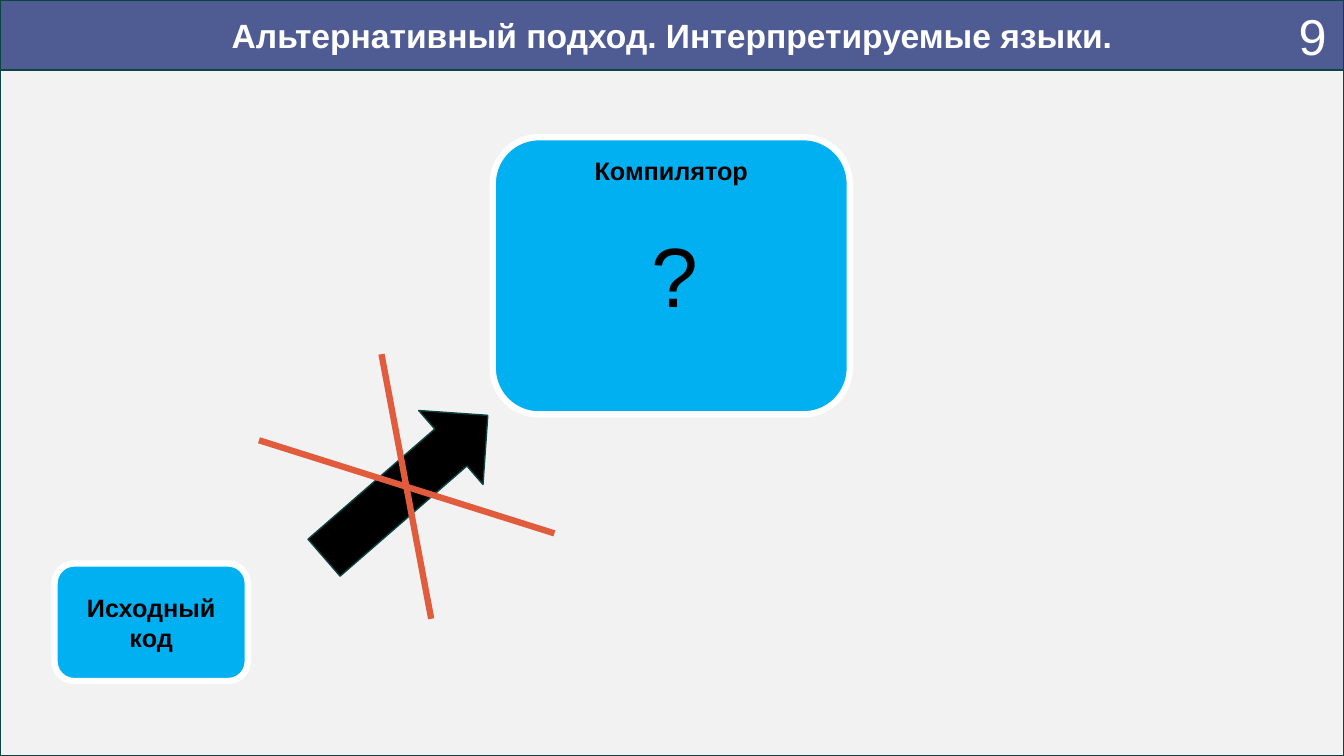
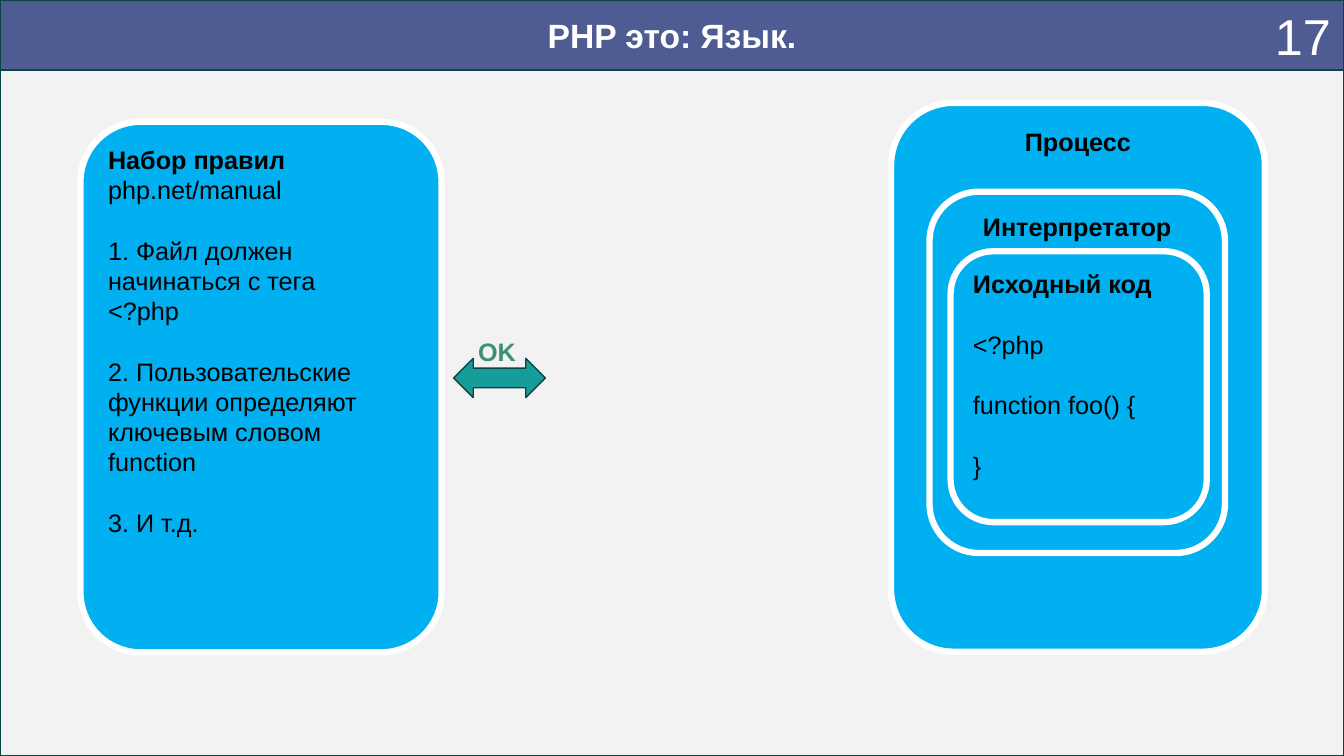
from typing import NamedTuple

from pptx import Presentation
from pptx.dml.color import RGBColor
from pptx.enum.shapes import MSO_CONNECTOR, MSO_SHAPE
from pptx.enum.text import MSO_ANCHOR, MSO_AUTO_SIZE, PP_ALIGN
from pptx.oxml.ns import qn
from pptx.shapes.autoshape import Shape
from pptx.slide import Slide
from pptx.text.text import TextFrame
from pptx.util import Pt
from lxml.etree import SubElement

# Shared look
INDIGO = RGBColor(0x4F, 0x5B, 0x93)
PALE = RGBColor(0xF2, 0xF2, 0xF2)
OUTLINE = RGBColor(0x0A, 0x44, 0x43)
SKY = RGBColor(0x00, 0xB0, 0xF0)
WHITE = RGBColor(0xFF, 0xFF, 0xFF)
BLACK = RGBColor(0x00, 0x00, 0x00)
RED = RGBColor(0xE1, 0x5C, 0x3D)
TEAL = RGBColor(0x16, 0x9C, 0x9A)
GREEN = RGBColor(0x3D, 0x90, 0x72)
FONT = "Arial"
WIDTH, HEIGHT, BAND = 960, 540, 50.5
ROW = 21.6  # height of one empty line of 18 pt text
THICK = 4.5
TITLE_ONLY, TITLE_AND_BODY = 5, 1


class Box(NamedTuple):
    left: float
    top: float
    width: float
    height: float


class Line(NamedTuple):
    text: str
    bold: bool = False
    gap: float = 0


class Card(NamedTuple):
    box: Box
    lines: list[Line]
    align: PP_ALIGN = PP_ALIGN.CENTER
    anchor: MSO_ANCHOR = MSO_ANCHOR.TOP


class Stroke(NamedTuple):
    x1: float
    y1: float
    x2: float
    y2: float


def write(frame: TextFrame, lines: list[Line], *, size: float = 18,
          color: RGBColor = BLACK, align: PP_ALIGN = PP_ALIGN.LEFT,
          anchor: MSO_ANCHOR = MSO_ANCHOR.TOP) -> None:
    """Fill a text frame, one paragraph for each line."""
    frame.word_wrap = True
    frame.auto_size = MSO_AUTO_SIZE.NONE
    frame.vertical_anchor = anchor
    for index, line in enumerate(lines):
        paragraph = frame.add_paragraph() if index else frame.paragraphs[0]
        paragraph.alignment = align
        paragraph.space_before = Pt(line.gap)
        paragraph.space_after = Pt(0)
        run = paragraph.add_run()
        run.text = line.text
        run.font.name = FONT
        run.font.size = Pt(size)
        run.font.bold = line.bold
        run.font.color.rgb = color


def place(shape: Shape, box: Box) -> None:
    shape.left, shape.top, shape.width, shape.height = map(Pt, box)


def paint(shape: Shape, fill: RGBColor, line: RGBColor, weight: float) -> None:
    shape.fill.solid()
    shape.fill.fore_color.rgb = fill
    shape.line.color.rgb = line
    shape.line.width = Pt(weight)


def add_figure(slide: Slide, kind: MSO_SHAPE, box: Box, fill: RGBColor,
               line: RGBColor = OUTLINE, weight: float = 1) -> Shape:
    figure = slide.shapes.add_shape(kind, *map(Pt, box))
    figure.shadow.inherit = False
    paint(figure, fill, line, weight)
    return figure


def add_card(slide: Slide, card: Card) -> None:
    panel = add_figure(slide, MSO_SHAPE.ROUNDED_RECTANGLE, card.box, SKY, WHITE, THICK)
    if card.lines:
        write(panel.text_frame, card.lines, align=card.align, anchor=card.anchor)


def add_label(slide: Slide, box: Box, text: str, size: float,
              color: RGBColor, bold: bool = False) -> None:
    label = slide.shapes.add_textbox(*map(Pt, box))
    write(label.text_frame, [Line(text, bold)], size=size, color=color)


def add_stroke(slide: Slide, stroke: Stroke) -> None:
    connector = slide.shapes.add_connector(MSO_CONNECTOR.STRAIGHT, *map(Pt, stroke))
    connector.line.color.rgb = RED
    connector.line.width = Pt(THICK)
    SubElement(connector.element.spPr, qn("a:effectLst"))


def add_page(deck: Presentation, layout: int, heading: str, number: str,
             number_width: float) -> Slide:
    """Start a slide with its title band, content sheet and number."""
    slide = deck.slides.add_slide(deck.slide_layouts[layout])
    title = slide.shapes.title
    place(title, Box(0, 0, WIDTH, BAND))
    paint(title, INDIGO, OUTLINE, 1)
    write(title.text_frame, [Line(heading, True)], size=24, color=WHITE,
          align=PP_ALIGN.CENTER, anchor=MSO_ANCHOR.MIDDLE)
    add_figure(slide, MSO_SHAPE.RECTANGLE, Box(0, 50, WIDTH, HEIGHT - 50), PALE)
    add_label(slide, Box(WIDTH - number_width, 0, number_width, BAND),
              number, 36, WHITE)
    return slide


def add_rules(slide: Slide, box: Box, rules: list[Line]) -> None:
    """Set the body placeholder in front, without bullets."""
    body = slide.placeholders[1]
    place(body, box)
    write(body.text_frame, rules)
    for paragraph in body.text_frame.paragraphs:
        properties = paragraph._p.get_or_add_pPr()
        properties.set("marL", "0")
        properties.set("indent", "0")
        SubElement(properties, qn("a:buNone"))
    body.element.getparent().append(body.element)


def build_interpreted(deck: Presentation) -> None:
    slide = add_page(deck, TITLE_ONLY,
                     "Альтернативный подход. Интерпретируемые языки.", "9", 39.5)
    compiler = Card(Box(352, 98, 255, 198), [Line("Компилятор", True)])
    source = Card(Box(39, 402.5, 138, 84), [Line("Исходный код", True)],
                  anchor=MSO_ANCHOR.MIDDLE)
    for card in (compiler, source):
        add_card(slide, card)

    # Crossed-out way from the source to the compiler
    way = add_figure(slide, MSO_SHAPE.RIGHT_ARROW, Box(212.5, 312.5, 155, 70), BLACK)
    way.rotation = 319
    for stroke in (Stroke(185, 314.5, 396, 381), Stroke(272.5, 253, 308, 442)):
        add_stroke(slide, stroke)
    add_label(slide, Box(458, 156, 216, 80), "?", 60, BLACK)


def build_language(deck: Presentation) -> None:
    slide = add_page(deck, TITLE_AND_BODY, "PHP это: Язык.", "17", 56.5)

    # Rules of the language
    panel = Box(57.5, 87, 258, 379)
    inset = 12.5
    add_card(slide, Card(panel, []))
    add_rules(slide, Box(panel.left + inset, panel.top + inset,
                         panel.width - 2 * inset, panel.height - 2 * inset), [
        Line("Набор правил", True),
        Line("php.net/manual"),
        Line("1. Файл должен начинаться с тега", gap=ROW),
        Line("<?php"),
        Line("2. Пользовательские функции определяют ключевым словом function",
             gap=ROW),
        Line("3. И т.д.", gap=ROW),
    ])

    # Agreement between rules and process
    add_figure(slide, MSO_SHAPE.LEFT_RIGHT_ARROW, Box(324, 256, 65.5, 28), TEAL)
    add_label(slide, Box(334.5, 237, 224, 29), "OK", 18, GREEN, bold=True)

    # Nested parts of the process, outermost first
    for card in (
        Card(Box(636.5, 73.5, 267, 392), [Line("Процесс", True)]),
        Card(Box(664, 137, 211, 258), [Line("Интерпретатор", True)]),
        Card(Box(679, 179.5, 183, 193.5), [
            Line("Исходный код", True),
            Line("<?php", gap=ROW),
            Line("function foo() {", gap=ROW),
            Line("}", gap=ROW),
        ], PP_ALIGN.LEFT),
    ):
        add_card(slide, card)


def main() -> None:
    deck = Presentation()
    deck.slide_width, deck.slide_height = Pt(WIDTH), Pt(HEIGHT)
    build_interpreted(deck)
    build_language(deck)
    deck.save("out.pptx")


if __name__ == "__main__":
    main()
